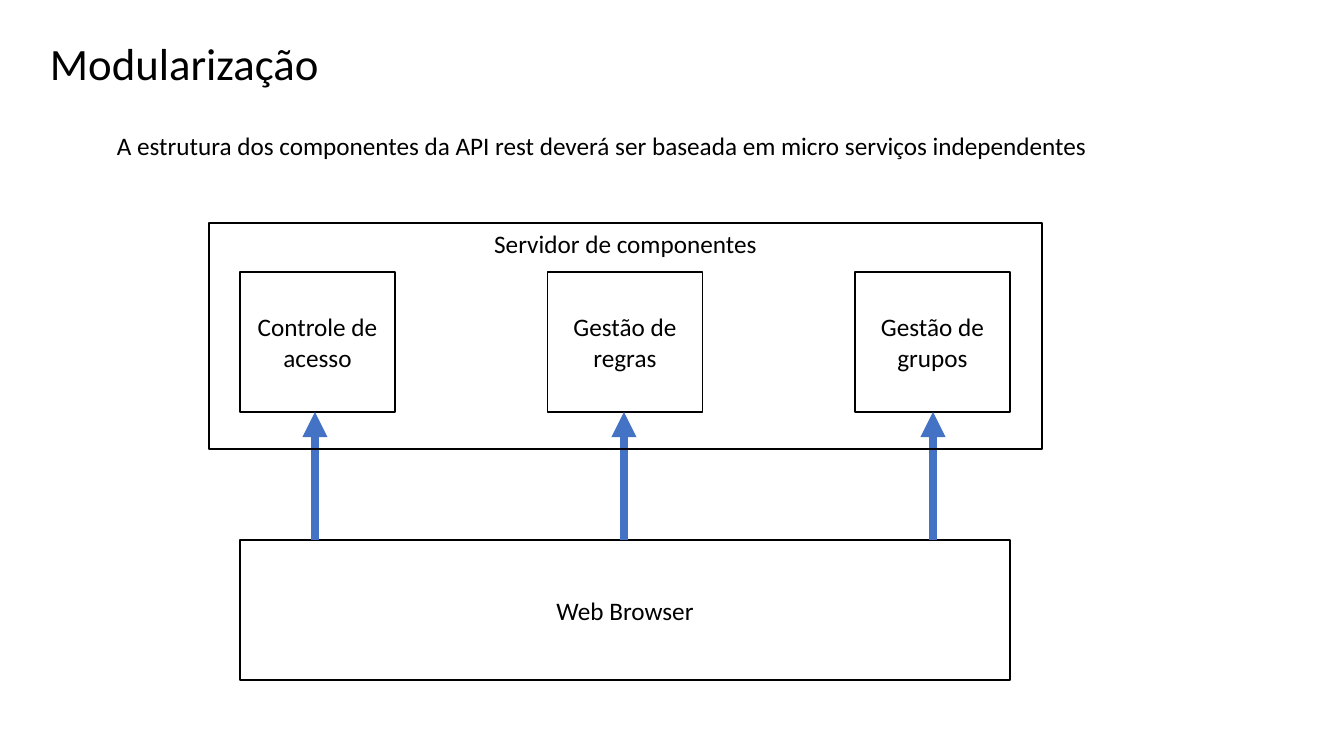
from pptx import Presentation
from pptx.dml.color import RGBColor
from pptx.enum.shapes import MSO_CONNECTOR as CONNECTOR, MSO_SHAPE as SHAPE
from pptx.enum.text import MSO_ANCHOR as ANCHOR, MSO_AUTO_SIZE as AUTOSIZE, PP_ALIGN as ALIGN
from pptx.oxml.ns import qn
from pptx.util import Pt
from lxml.etree import SubElement

# Content
TITLE = "Modularização"
SUBTITLE = "A estrutura dos componentes da API rest deverá ser baseada em micro serviços independentes"
SERVER = "Servidor de componentes"
SERVICES = ["Controle de acesso", "Gestão de regras", "Gestão de grupos"]
CLIENT = "Web Browser"

THEME = {
    "font": "Calibri",
    "ink": RGBColor(0x00, 0x00, 0x00),
    "arrow": RGBColor(0x44, 0x72, 0xC4),
    "title_size": 32,
    "body_size": 18,
    "outline": 1,
    "arrow_width": 6,
}

# Layout in px: left, top, width, height
SLIDE_WIDTH, SLIDE_HEIGHT = 1344, 756
TITLE_AREA = (40, 31, 439, 65)
SUBTITLE_AREA = (107, 125, 996, 40)
SERVER_AREA = (209, 223, 833, 226)
CLIENT_AREA = (240, 540, 770, 140)
SERVICE_TOP, SERVICE_WIDTH, SERVICE_HEIGHT = 272, 155, 140
ARROW_LEFT, ARROW_STEP = 315, 309


def px(length):
    return round(length * 914400 / 100.8)


def write(frame, text, size, align=ALIGN.LEFT):
    frame.text = text
    paragraph = frame.paragraphs[0]
    paragraph.alignment = align
    font = paragraph.runs[0].font
    font.name, font.size = THEME["font"], Pt(size)
    font.color.rgb = THEME["ink"]


def add_label(slide, area, text, size, wrap):
    frame = slide.shapes.add_textbox(*map(px, area)).text_frame
    frame.word_wrap = wrap
    frame.auto_size = AUTOSIZE.SHAPE_TO_FIT_TEXT
    write(frame, text, size)


def add_box(slide, area, text, anchor=ANCHOR.MIDDLE):
    box = slide.shapes.add_shape(SHAPE.RECTANGLE, *map(px, area))
    box.shadow.inherit = False
    box.fill.background()
    box.line.color.rgb = THEME["ink"]
    box.line.width = Pt(THEME["outline"])
    box.text_frame.word_wrap = True
    box.text_frame.vertical_anchor = anchor
    write(box.text_frame, text, THEME["body_size"], ALIGN.CENTER)


def add_arrow(slide, x, start, end):
    arrow = slide.shapes.add_connector(CONNECTOR.STRAIGHT, px(x), px(start), px(x), px(end))
    arrow.line.color.rgb = THEME["arrow"]
    arrow.line.width = Pt(THEME["arrow_width"])
    SubElement(arrow.line._get_or_add_ln(), qn("a:tailEnd"), type="triangle")
    SubElement(arrow._element.spPr, qn("a:effectLst"))


def main():
    deck = Presentation()
    deck.slide_width, deck.slide_height = px(SLIDE_WIDTH), px(SLIDE_HEIGHT)
    slide = deck.slides.add_slide(deck.slide_layouts[6])

    # Headings
    add_label(slide, SUBTITLE_AREA, SUBTITLE, THEME["body_size"], wrap=False)
    add_label(slide, TITLE_AREA, TITLE, THEME["title_size"], wrap=True)

    # Services spread evenly across the client's width
    client_left, client_top, client_width, _ = CLIENT_AREA
    service_step = (client_width - SERVICE_WIDTH) / (len(SERVICES) - 1)
    for i, service in enumerate(SERVICES):
        left = client_left + i * service_step
        add_box(slide, (left, SERVICE_TOP, SERVICE_WIDTH, SERVICE_HEIGHT), service)
    add_box(slide, CLIENT_AREA, CLIENT)

    # Arrows from the client up to each service
    for i in range(len(SERVICES)):
        add_arrow(slide, ARROW_LEFT + i * ARROW_STEP, client_top, SERVICE_TOP + SERVICE_HEIGHT)

    # Server frame, in front of the arrows
    add_box(slide, SERVER_AREA, SERVER, ANCHOR.TOP)

    deck.save("out.pptx")


if __name__ == "__main__":
    main()
